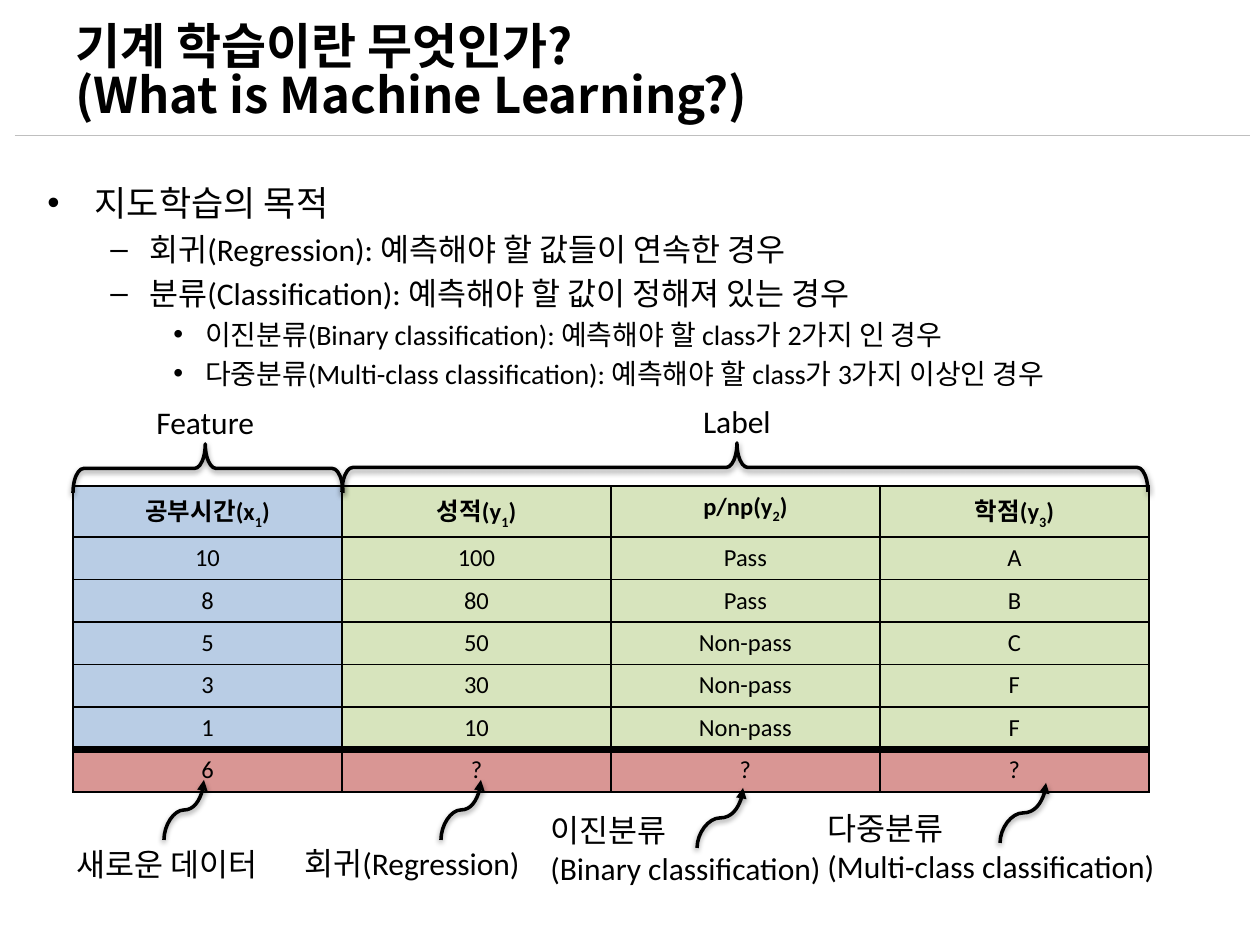
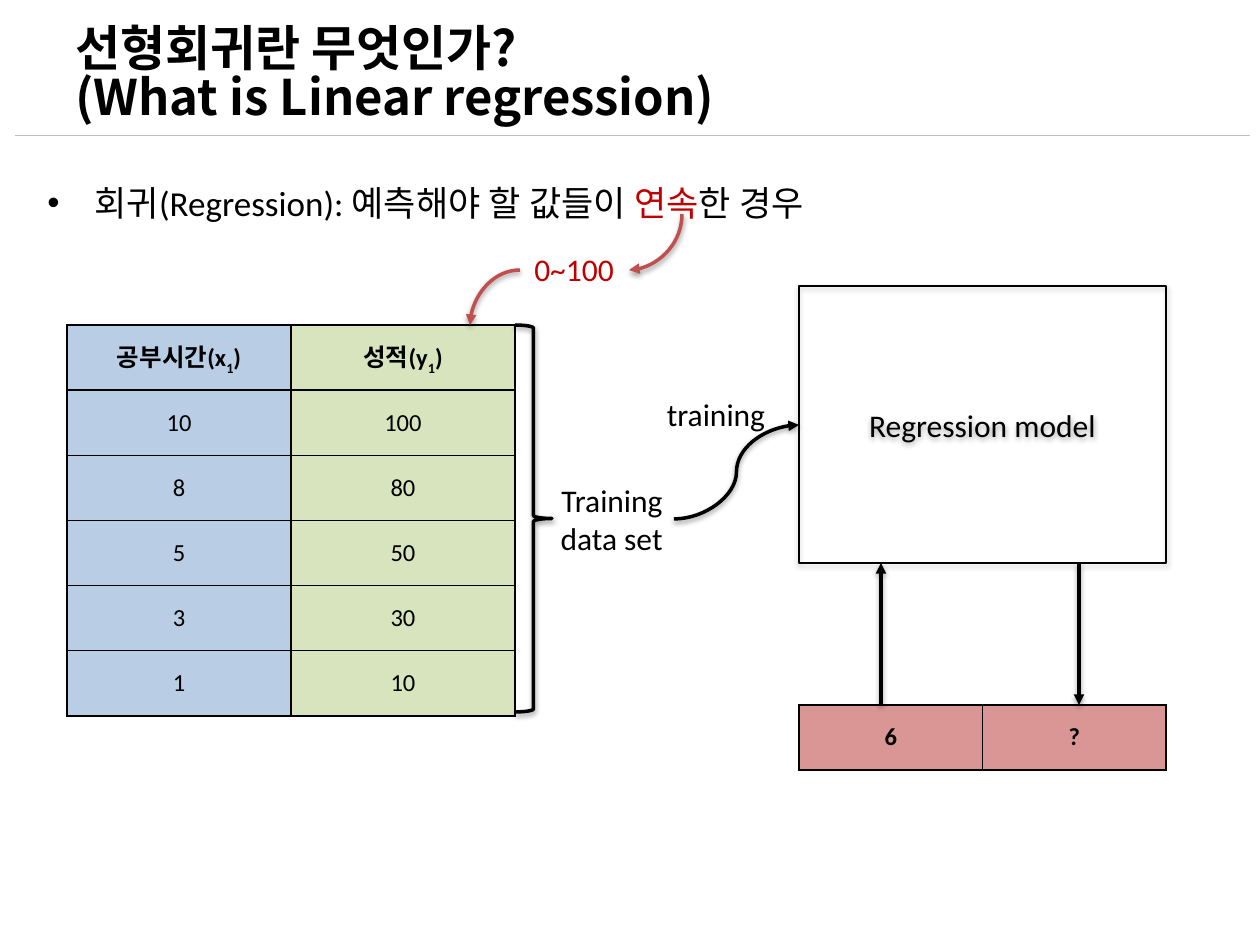
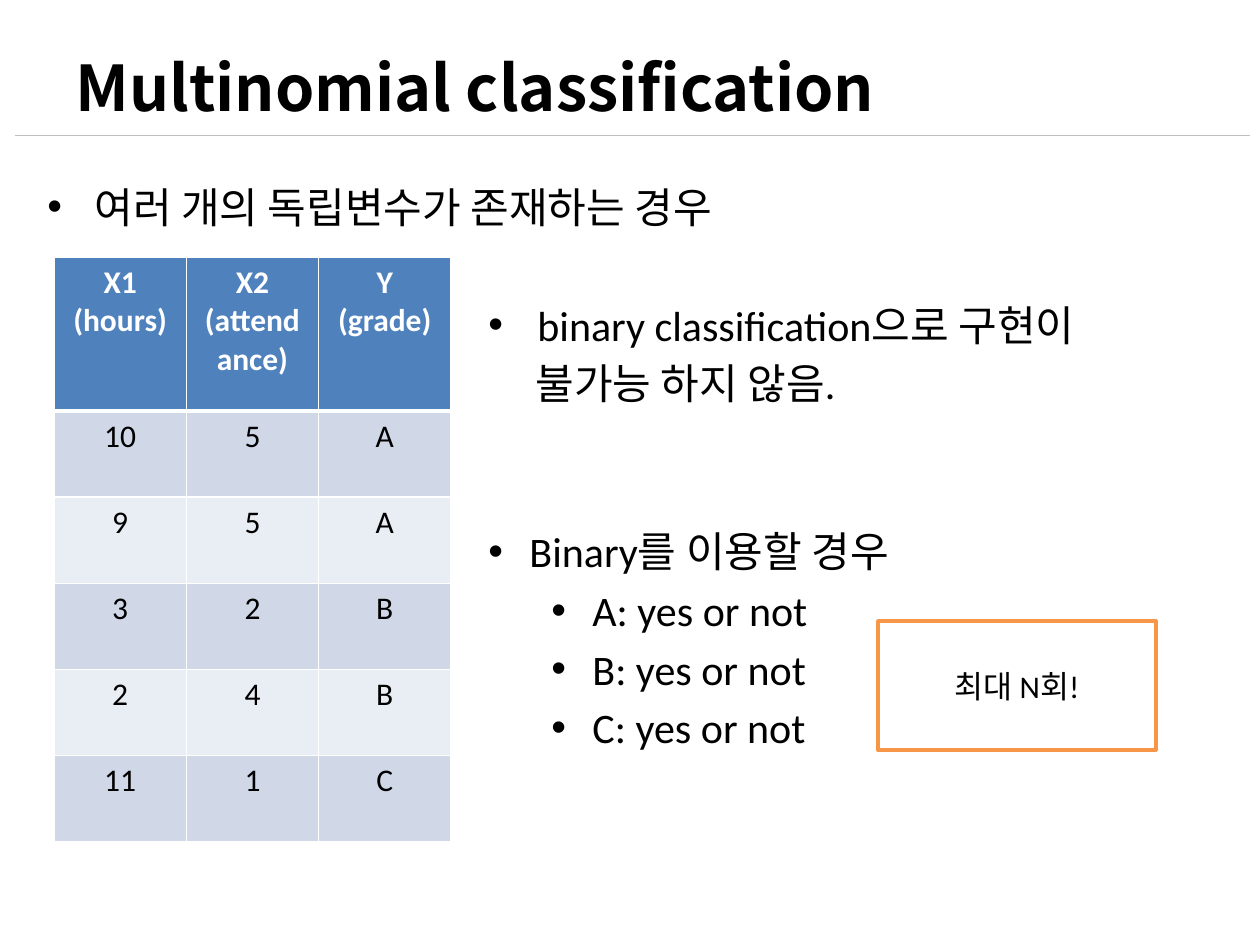
import dataclasses

import lxml.etree
import pptx
import pptx.dml.color
import pptx.enum.shapes
import pptx.enum.text
import pptx.oxml.ns
import pptx.util

SHAPE = pptx.enum.shapes.MSO_SHAPE
CONNECTOR = pptx.enum.shapes.MSO_CONNECTOR
ALIGN = pptx.enum.text.PP_ALIGN
ANCHOR = pptx.enum.text.MSO_ANCHOR
EMU_PER_PX = 914400 / 126


@dataclasses.dataclass(frozen=True)
class Theme:
    black: str = "000000"
    white: str = "FFFFFF"
    rule: str = "BFBFBF"
    feature: str = "B9CDE5"
    label: str = "D7E4BD"
    query: str = "D99694"
    emphasis: str = "C00000"
    emphasis_arrow: str = "C0504D"
    header: str = "4F81BD"
    band_dark: str = "D0D8E8"
    band_light: str = "E9EDF4"
    note: str = "F79646"
    body_font: str = "Calibri"
    title_font: str = "Noto Sans CJK KR"
    title: int = 28
    title_large: int = 36
    large: int = 24
    lead: int = 20
    text: int = 18
    detail: int = 16
    cell: int = 14


THEME = Theme()
HOURS = [("공부시간(x", {}), ("1", {"sub": True}), (")", {})]
SCORE = [("성적(y", {}), ("1", {"sub": True}), (")", {})]
PASS = [("p/np(y", {}), ("2", {"sub": True}), (")", {})]
GRADE = [("학점(y", {}), ("3", {"sub": True}), (")", {})]


def px(length):
    return pptx.util.Emu(round(length * EMU_PER_PX))


def rgb(color):
    return pptx.dml.color.RGBColor.from_string(color)


def child(parent, tag, **attributes):
    """Append a DrawingML element."""
    element = lxml.etree.SubElement(parent, pptx.oxml.ns.qn("a:" + tag))
    for key, value in attributes.items():
        element.set(key, str(value))
    return element


def style_run(run, size, color, bold, font, asian_font, sub):
    run.font.size = pptx.util.Pt(size)
    run.font.bold = bold
    run.font.color.rgb = rgb(color)
    run.font.name = font
    properties = run.font._element
    child(properties, "ea", typeface=asian_font or font)
    if sub:
        properties.set("baseline", "-25000")


def write(frame, content, size=THEME.text, color=THEME.black, bold=False,
          font=THEME.body_font, asian_font=None, align=ALIGN.LEFT,
          margin=0, hang=0, bullet=None, before=0, spacing=None):
    """Add one paragraph; content is a string or a list of (text, overrides)."""
    first = frame.paragraphs[0]
    paragraph = frame.add_paragraph() if first.runs else first
    paragraph.alignment = align
    paragraph.space_before = pptx.util.Pt(before)
    if spacing:
        paragraph.line_spacing = spacing
    properties = paragraph._p.get_or_add_pPr()
    properties.set("marL", str(px(margin)))
    properties.set("indent", str(px(-hang)))
    if bullet:
        child(properties, "buFont", typeface="Arial")
        child(properties, "buChar", char=bullet)
    base = dict(size=size, color=color, bold=bold, font=font,
                asian_font=asian_font, sub=False)
    for text, changes in [(content, {})] if isinstance(content, str) else content:
        for number, line in enumerate(text.split("\n")):
            if number:
                paragraph.add_line_break()
            run = paragraph.add_run()
            run.text = line
            style_run(run, **{**base, **changes})


def text_area(slide, box, anchor=ANCHOR.TOP):
    frame = slide.shapes.add_textbox(*map(px, box)).text_frame
    frame.word_wrap = True
    frame.vertical_anchor = anchor
    return frame


def caption(slide, box, text, **style):
    write(text_area(slide, box), text, **style)


def bullet_line(frame, content, size, margin, hang, bullet="•"):
    write(frame, content, size=size, margin=margin, hang=hang, bullet=bullet,
          before=size * 0.2)


def set_shadow(shape, opacity):
    """Replace the theme's shadow; zero opacity means none."""
    properties = shape._element.spPr
    effects = properties.find(pptx.oxml.ns.qn("a:effectLst"))
    if effects is None:
        effects = child(properties, "effectLst")
    if opacity:
        shadow = child(effects, "outerShdw", blurRad=40000, dist=20000,
                       dir=5400000, rotWithShape=0)
        color = child(shadow, "srgbClr", val=THEME.black)
        child(color, "alpha", val=opacity * 1000)


def add_shape(slide, kind, box, line, width, fill=None, shadow=0):
    shape = slide.shapes.add_shape(kind, *map(px, box))
    if fill:
        shape.fill.solid()
        shape.fill.fore_color.rgb = rgb(fill)
    else:
        shape.fill.background()
    shape.line.color.rgb = rgb(line)
    shape.line.width = pptx.util.Pt(width)
    shape.shadow.inherit = False
    set_shadow(shape, shadow)
    return shape


def labelled_box(slide, kind, box, text, **look):
    frame = add_shape(slide, kind, box, **look).text_frame
    frame.word_wrap = True
    frame.vertical_anchor = ANCHOR.MIDDLE
    write(frame, text, align=ALIGN.CENTER)


def add_line(slide, kind, start, end, color, width, arrow=True):
    line = slide.shapes.add_connector(kind, *map(px, (*start, *end)))
    line.line.color.rgb = rgb(color)
    line.line.width = pptx.util.Pt(width)
    if arrow:
        child(line.line._get_or_add_ln(), "tailEnd", type="triangle")
    set_shadow(line, 38 if arrow else 0)
    return line


def arrow(slide, start, end):
    add_line(slide, CONNECTOR.STRAIGHT, start, end, THEME.black, 2)


def curved_arrow(slide, start, end, color=THEME.black, upright=False, quarter=False):
    """Draw an S curve or a quarter turn; upright ones leave vertically."""
    if upright:
        middle_x, middle_y = (start[0] + end[0]) / 2, (start[1] + end[1]) / 2
        dx, dy = start[0] - middle_x, start[1] - middle_y
        start = middle_x + dy, middle_y - dx
        end = middle_x - dy, middle_y + dx
    curve = add_line(slide, CONNECTOR.CURVE, start, end, color, 2)
    properties = curve._element.spPr
    if upright:
        properties.find(pptx.oxml.ns.qn("a:xfrm")).set("rot", "5400000")
    if quarter:
        properties.find(pptx.oxml.ns.qn("a:prstGeom")).set("prst", "curvedConnector2")


def brace_above(slide, box, text):
    """Span the box with a brace and centre a caption over its peak."""
    left, top, width, height = box
    middle_x, middle_y = left + width / 2, top + height / 2
    brace = add_shape(slide, SHAPE.LEFT_BRACE,
                      (middle_x - height / 2, middle_y - width / 2, height, width),
                      THEME.black, 2, shadow=38)
    brace.rotation = 90
    brace.adjustments[0], brace.adjustments[1] = 0.22, 0.51
    peak = left + width * 0.49
    caption(slide, (peak - 70, top - 47, 140, 50), text, align=ALIGN.CENTER)


def callout(slide, box, text, tail, lean):
    """Place a caption whose arrow rises from the tail offset."""
    caption(slide, box, text)
    start = box[0] + tail[0], box[1] + tail[1]
    curved_arrow(slide, start, (start[0] + lean, start[1] - 60), upright=True)


def cell_border(cell, color, widths):
    properties = cell._tc.get_or_add_tcPr()
    for position, (side, width) in enumerate(zip(("lnL", "lnR", "lnT", "lnB"), widths)):
        line = child(properties, side, w=pptx.util.Pt(width))
        child(child(line, "solidFill"), "srgbClr", val=color)
        properties.remove(line)
        properties.insert(position, line)


def add_table(slide, box, rows, fill_of, header_height=None, heavy=None, heavy_width=4.5,
              border=THEME.black, anchor=ANCHOR.TOP, size=THEME.cell,
              header_color=THEME.black):
    """Fill an even grid; heavy is the row that has a thick rule beneath it."""
    left, top, width, height = box
    columns = len(rows[0])
    table = slide.shapes.add_table(len(rows), columns, *map(px, box)).table
    table.first_row = table.horz_banding = False
    for column in table.columns:
        column.width = px(width / columns)
    first_height = header_height or height / len(rows)
    for r, values in enumerate(rows):
        table.rows[r].height = px(
            (height - first_height) / (len(rows) - 1) if r else first_height)
        for c, value in enumerate(values):
            cell = table.cell(r, c)
            cell.vertical_anchor = anchor
            cell.fill.solid()
            cell.fill.fore_color.rgb = rgb(fill_of(r, c))
            above = heavy_width if heavy is not None and r == heavy + 1 else 1
            below = heavy_width if r == heavy else 1
            cell_border(cell, border, (1, 1, above, below))
            for content in value if isinstance(value, tuple) else (value,):
                write(cell.text_frame, content, size=size, bold=r == 0,
                      color=THEME.black if r else header_color,
                      asian_font=None if r else THEME.title_font, align=ALIGN.CENTER)


def data_fill(row, column):
    if row == 6:
        return THEME.query
    return THEME.label if column else THEME.feature


def band_fill(row, column):
    if row == 0:
        return THEME.header
    return THEME.band_dark if row % 2 else THEME.band_light


def new_slide(deck, title, top, size=THEME.title, spacing=None):
    """Start a slide with the shared rule and title."""
    slide = deck.slides.add_slide(deck.slide_layouts[6])
    add_line(slide, CONNECTOR.STRAIGHT, (15, 135), (1250, 135), THEME.rule, 0.5,
             arrow=False)
    write(text_area(slide, (63, top, 1134, 97), ANCHOR.MIDDLE), title, size=size,
          bold=True, font=THEME.title_font, spacing=spacing)
    return slide


def machine_learning_slide(deck):
    slide = new_slide(deck, "기계 학습이란 무엇인가?\n(What is Machine Learning?)",
                      26, spacing=0.82)
    goals = text_area(slide, (35, 175, 1153, 230))
    bullet_line(goals, "지도학습의 목적", THEME.lead, 47, 47)
    for text in ("회귀(Regression): 예측해야 할 값들이 연속한 경우",
                 "분류(Classification): 예측해야 할 값이 정해져 있는 경우"):
        bullet_line(goals, text, THEME.text, 102, 39, "–")
    for text in ("이진분류(Binary classification): 예측해야 할 class가 2가지 인 경우",
                 "다중분류(Multi-class classification): 예측해야 할 class가 3가지 이상인 경우"):
        bullet_line(goals, text, THEME.detail, 158, 32)

    rows = [(HOURS, SCORE, PASS, GRADE),
            ("10", "100", "Pass", "A"), ("8", "80", "Pass", "B"),
            ("5", "50", "Non-pass", "C"), ("3", "30", "Non-pass", "F"),
            ("1", "10", "Non-pass", "F"), ("6", "?", "?", "?")]
    # A list is one paragraph of runs; a tuple would be several paragraphs.
    add_table(slide, (73, 486, 1076, 306), rows, data_fill, header_height=51, heavy=5)
    brace_above(slide, (342, 443, 806, 49), "Label")
    brace_above(slide, (73, 444, 270, 49), "Feature")

    for box, text, tail, lean in (
            ((64, 839, 248, 50), "새로운 데이터", (100, 1), 40),
            ((292, 838, 260, 50), "회귀(Regression)", (149, 2), 40),
            ((538, 805, 301, 89), "이진분류\n(Binary classification)", (159, 43), 46),
            ((815, 803, 360, 89), "다중분류\n(Multi-class classification)", (185, 40), 46)):
        callout(slide, box, text, tail, lean)


def linear_regression_slide(deck):
    slide = new_slide(deck, "선형회귀란 무엇인가?\n(What is Linear regression)",
                      28, spacing=0.82)
    bullet_line(text_area(slide, (35, 175, 1153, 62)),
                [("회귀(Regression): 예측해야 할 값들이 ", {}),
                 ("연속", {"color": THEME.emphasis}), ("한 경우", {})],
                THEME.lead, 47, 47)

    rows = [(HOURS, SCORE), ("10", "100"), ("8", "80"), ("5", "50"), ("3", "30"),
            ("1", "10")]
    add_table(slide, (67, 325, 448, 391), rows, data_fill, anchor=ANCHOR.MIDDLE)
    add_shape(slide, SHAPE.RIGHT_BRACE, (515, 325, 37, 387), THEME.black, 2, shadow=38)
    caption(slide, (541, 475, 134, 89), "Training data set", align=ALIGN.RIGHT)

    labelled_box(slide, SHAPE.FLOWCHART_PROCESS, (799, 286, 367, 277),
                 "Regression model", line=THEME.black, width=0.75, shadow=35)
    caption(slide, (644, 389, 144, 50), "training", align=ALIGN.CENTER)
    add_table(slide, (799, 705, 367, 65), [("6", "?")], lambda row, column: THEME.query,
              anchor=ANCHOR.MIDDLE)
    arrow(slide, (881, 705), (881, 563))
    arrow(slide, (1079, 563), (1079, 705))
    curved_arrow(slide, (674, 519), (799, 425))

    caption(slide, (520, 244, 108, 50), "0~100", color=THEME.emphasis,
            align=ALIGN.CENTER)
    curved_arrow(slide, (682, 214), (629, 270), THEME.emphasis_arrow,
                 upright=True, quarter=True)
    curved_arrow(slide, (520, 270), (470, 325), THEME.emphasis_arrow, quarter=True)


def multinomial_slide(deck):
    slide = new_slide(deck, "Multinomial classification", 38, size=THEME.title_large)
    bullet_line(text_area(slide, (35, 175, 1153, 70)),
                "여러 개의 독립변수가 존재하는 경우", THEME.large, 47, 47)

    limits = text_area(slide, (476, 293, 712, 480))
    bullet_line(limits, "binary classification으로 구현이", THEME.large, 49, 49)
    bullet_line(limits, "불가능 하지 않음.", THEME.large, 47, 0, None)
    write(limits, "Binary를 이용할 경우", size=THEME.large, margin=41, hang=41,
          bullet="•", before=67)
    for grade in "ABC":
        bullet_line(limits, f"{grade}: yes or not", THEME.large, 104, 41)

    rows = [(("X1", "(hours)"), ("X2", "(attend", "ance)"), ("Y", "(grade)")),
            ("10", "5", "A"), ("9", "5", "A"), ("3", "2", "B"), ("2", "4", "B"),
            ("11", "1", "C")]
    add_table(slide, (54, 257, 397, 585), rows, band_fill, header_height=154, heavy=0,
              heavy_width=3, border=THEME.white, size=THEME.text,
              header_color=THEME.white)
    labelled_box(slide, SHAPE.RECTANGLE, (878, 621, 278, 129), "최대 N회!",
                 line=THEME.note, width=2, fill=THEME.white)


def main():
    deck = pptx.Presentation()
    deck.slide_width, deck.slide_height = px(1260), px(945)
    machine_learning_slide(deck)
    linear_regression_slide(deck)
    multinomial_slide(deck)
    deck.save("out.pptx")


if __name__ == "__main__":
    main()
